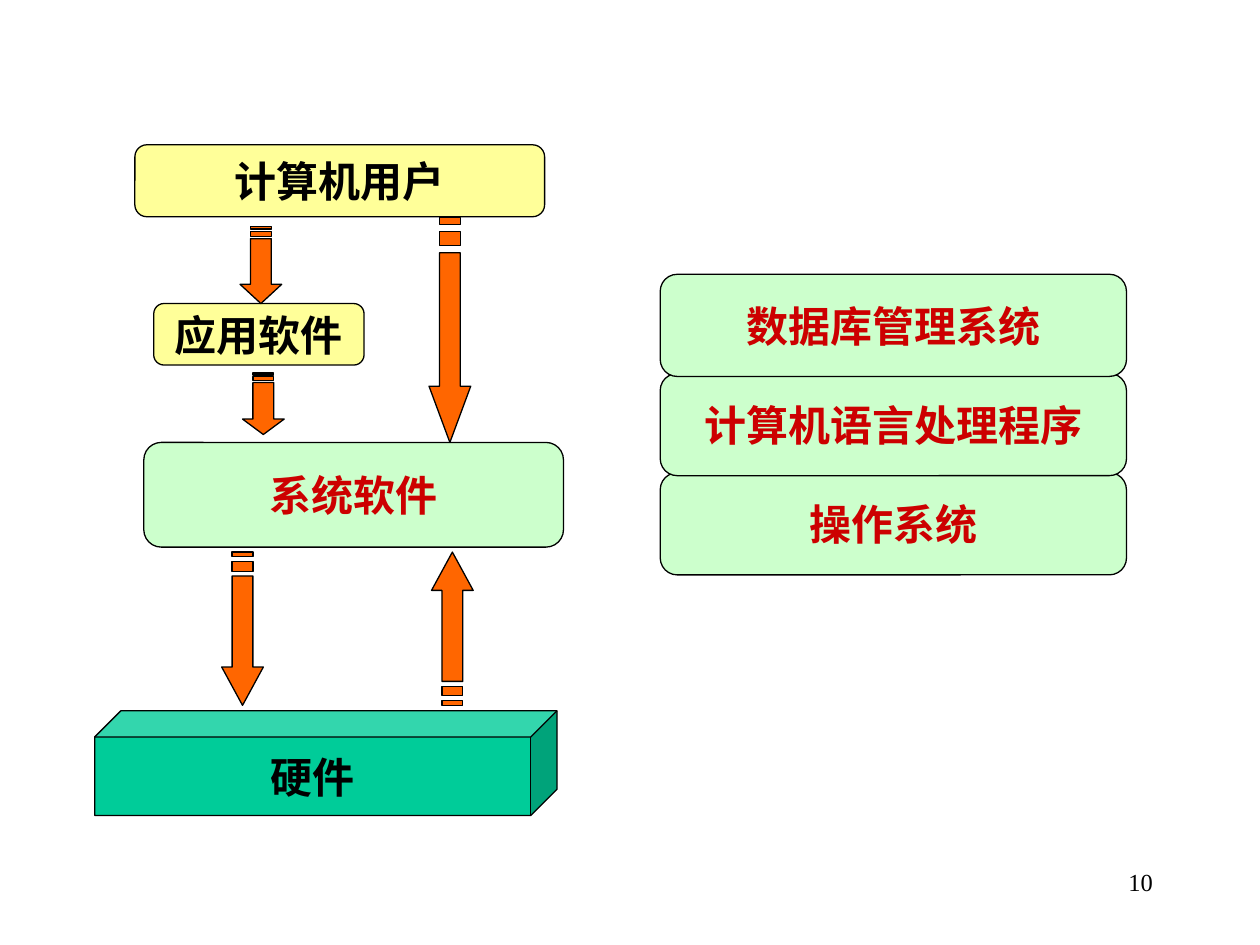
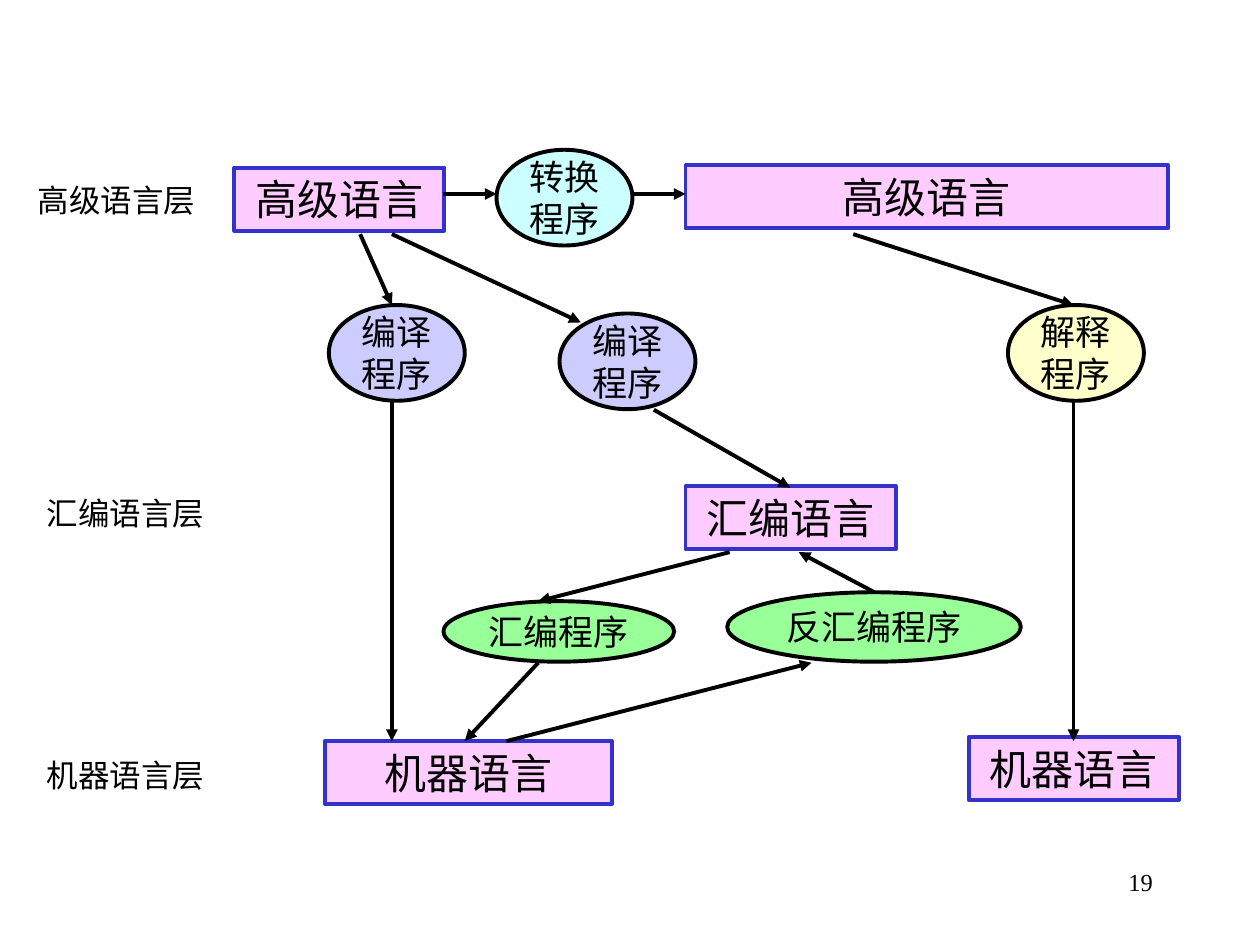
from lxml.etree import SubElement
from pptx import Presentation
from pptx.dml.color import RGBColor
from pptx.enum.shapes import MSO_CONNECTOR, MSO_SHAPE
from pptx.enum.text import MSO_ANCHOR, PP_ALIGN
from pptx.oxml.ns import qn
from pptx.util import Cm, Pt

# Colours
BLACK = RGBColor(0x00, 0x00, 0x00)
RED = RGBColor(0xCC, 0x00, 0x00)
ORANGE = RGBColor(0xFF, 0x66, 0x00)
TEAL = RGBColor(0x00, 0xCC, 0x99)
MINT = RGBColor(0xCC, 0xFF, 0xCC)
YELLOW = RGBColor(0xFF, 0xFF, 0x99)
PINK = RGBColor(0xFF, 0xCC, 0xFF)
BLUE = RGBColor(0x33, 0x33, 0xCC)
CYAN = RGBColor(0xCC, 0xFF, 0xFF)
LILAC = RGBColor(0xCC, 0xCC, 0xFF)
CREAM = RGBColor(0xFF, 0xFF, 0xCC)
GREEN = RGBColor(0x99, 0xFF, 0x99)

# Text formats
SERIF = "Times New Roman"
BOLD = {"name": "Arial", "size": Pt(24), "bold": True}
LARGE = {"name": SERIF, "size": Pt(24)}
SMALL = {"name": SERIF, "size": Pt(20)}
LABEL = {"name": SERIF, "size": Pt(18)}
PAGE = {"name": SERIF, "size": Pt(14)}

THIN, THICK = Pt(0.75), Pt(2.25)


def write(shape, text, form, align, color=BLACK, wrap=True):
    frame = shape.text_frame
    frame.text = text
    frame.word_wrap = wrap
    for para in frame.paragraphs:
        para.alignment = align
        para.font.color.rgb = color
        for key, value in form.items():
            setattr(para.font, key, value)


def paint(shape, fill, line, width):
    shape.shadow.inherit = False
    shape.fill.solid()
    shape.fill.fore_color.rgb = fill
    shape.line.color.rgb = line
    shape.line.width = width


def add_node(slide, kind, text, box, fill, form, color=BLACK, line=BLACK, width=THICK):
    shape = slide.shapes.add_shape(kind, *map(Cm, box))
    paint(shape, fill, line, width)
    write(shape, text, form, PP_ALIGN.CENTER, color, wrap=False)
    shape.text_frame.vertical_anchor = MSO_ANCHOR.MIDDLE


def add_label(slide, text, box, form, align=PP_ALIGN.LEFT):
    write(slide.shapes.add_textbox(*map(Cm, box)), text, form, align)


def add_striped(slide, mid, tail, tip):
    """Draw a vertical arrow with two stripes behind its shaft."""
    half, wing = 0.21, 0.42

    def spot(side, part):
        return Cm(mid + side), Cm(tail + (tip - tail) * part)

    shaft = [(half, 5 / 32), (half, 0.75), (wing, 0.75), (0, 1),
             (-wing, 0.75), (-half, 0.75), (-half, 5 / 32)]
    bars = [[(half, top), (half, end), (-half, end), (-half, top)]
            for top, end in ((0, 1 / 32), (2 / 32, 4 / 32))]
    pen = slide.shapes.build_freeform(*spot(*shaft[0]))
    pen.add_line_segments([spot(*point) for point in shaft[1:]])
    for bar in bars:
        pen.move_to(*spot(*bar[0]))
        pen.add_line_segments([spot(*point) for point in bar[1:]])
    paint(pen.convert_to_shape(), ORANGE, BLACK, THIN)


def add_arrow(slide, *ends):
    link = slide.shapes.add_connector(MSO_CONNECTOR.STRAIGHT, *map(Cm, ends))
    link.line.color.rgb = BLACK
    link.line.width = THICK
    SubElement(link.line._get_or_add_ln(), qn("a:tailEnd"), type="triangle")
    SubElement(link._element.spPr, qn("a:effectLst"))


def add_page(deck, number):
    slide = deck.slides.add_slide(deck.slide_layouts[6])
    add_label(slide, number, (18.21, 17.35, 5.28, 1.27), PAGE, PP_ALIGN.RIGHT)
    return slide


def draw_layers(slide):
    # Layers from hardware up to the user
    layers = [
        (MSO_SHAPE.CUBE, "硬件", (1.91, 14.33, 9.32, 2.11), TEAL, BLACK),
        (MSO_SHAPE.ROUNDED_RECTANGLE, "系统软件", (2.9, 8.92, 8.46, 2.11), MINT, RED),
        (MSO_SHAPE.ROUNDED_RECTANGLE, "应用软件", (3.1, 6.12, 4.24, 1.24), YELLOW, BLACK),
        (MSO_SHAPE.ROUNDED_RECTANGLE, "计算机用户", (2.72, 2.92, 8.26, 1.45), YELLOW, BLACK),
    ]
    for kind, text, box, fill, color in layers:
        add_node(slide, kind, text, box, fill, BOLD, color, width=THIN)

    # Arrows: centre, tail and tip
    for ends in ((4.89, 11.13, 14.22), (9.12, 14.22, 11.13), (9.07, 4.39, 8.92),
                 (5.26, 4.57, 6.12), (5.31, 7.52, 8.76)):
        add_striped(slide, *ends)

    # Kinds of system software, stacked from the bottom
    for row, text in enumerate(("操作系统", "计算机语言处理程序", "数据库管理系统")):
        add_node(slide, MSO_SHAPE.ROUNDED_RECTANGLE, text,
                 (13.31, 9.53 - 2 * row, 9.4, 2.06), MINT, BOLD, RED, width=THIN)


def draw_langs(slide):
    # Languages
    for text, left, top, width in (
        ("高级语言", 4.72, 3.38, 4.24),
        ("高级语言", 13.82, 3.33, 9.73),
        ("汇编语言", 13.82, 9.8, 4.24),
        ("机器语言", 6.55, 14.94, 5.79),
        ("机器语言", 19.53, 14.86, 4.24),
    ):
        add_node(slide, MSO_SHAPE.RECTANGLE, text, (left, top, width, 1.27),
                 PINK, LARGE, line=BLUE)

    # Translating programs
    for text, box, fill in (
        ("转换\n程序", (10.01, 3.02, 2.74, 1.93), CYAN),
        ("编译\n程序", (6.63, 6.15, 2.74, 1.93), LILAC),
        ("编译\n程序", (11.28, 6.32, 2.74, 1.93), LILAC),
        ("解释\n程序", (20.32, 6.15, 2.74, 1.93), CREAM),
        ("汇编程序", (8.94, 12.12, 4.65, 1.22), GREEN),
        ("反汇编程序", (14.66, 11.94, 5.92, 1.4), GREEN),
    ):
        add_node(slide, MSO_SHAPE.OVAL, text, box, fill, SMALL)

    # Level names
    for text, left, top in (("高级语言层", 0.51, 3.53), ("汇编语言层", 0.69, 9.83),
                            ("机器语言层", 0.69, 15.11)):
        add_label(slide, text, (left, top, 3.81, 1.02), LABEL)

    # Translation steps
    for ends in (
        (8.94, 3.91, 10.01, 3.91),
        (12.75, 3.91, 13.82, 3.91),
        (7.26, 4.72, 7.9, 6.15),
        (7.9, 8.08, 7.9, 14.94),
        (7.9, 4.72, 11.71, 6.5),
        (13.18, 8.26, 15.93, 9.83),
        (14.71, 11.13, 10.85, 12.12),
        (10.85, 13.36, 9.37, 14.94),
        (10.21, 14.94, 16.36, 13.36),
        (17.63, 11.94, 16.1, 11.13),
        (17.2, 4.72, 21.64, 6.15),
        (21.64, 8.08, 21.64, 14.94),
    ):
        add_arrow(slide, *ends)


def main():
    deck = Presentation()
    deck.slide_width, deck.slide_height = Cm(25.4), Cm(19.05)
    draw_layers(add_page(deck, "10"))
    draw_langs(add_page(deck, "19"))
    deck.save("out.pptx")


if __name__ == "__main__":
    main()
